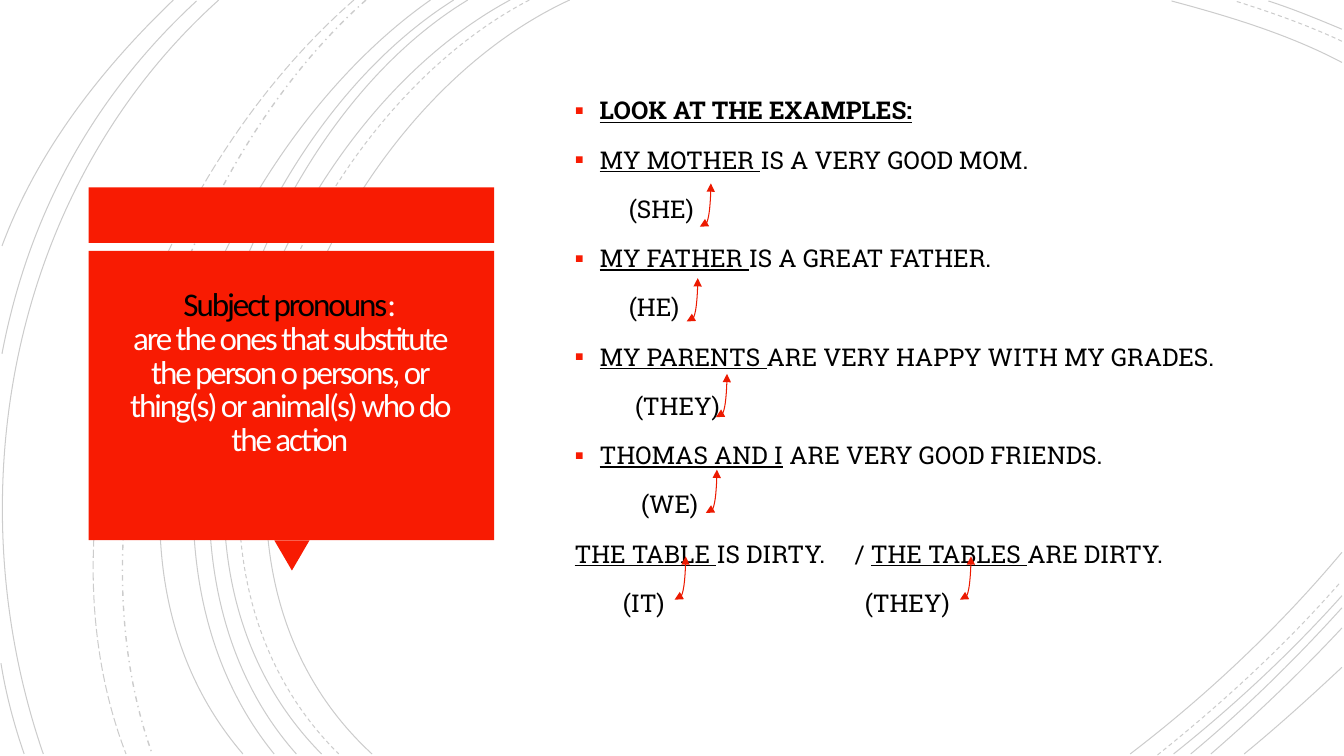
from pptx import Presentation
from pptx.dml.color import RGBColor
from pptx.enum.dml import MSO_LINE
from pptx.enum.shapes import MSO_CONNECTOR, MSO_SHAPE
from pptx.enum.text import MSO_ANCHOR, PP_ALIGN
from pptx.oxml.ns import qn
from pptx.util import Inches, Pt
from lxml.etree import SubElement

BLACK = RGBColor(0x00, 0x00, 0x00)
WHITE = RGBColor(0xFF, 0xFE, 0xFF)
RED = RGBColor(0xF8, 0x1B, 0x02)
ARROW = RGBColor(0xEC, 0x19, 0x00)

SOLID, DASH = MSO_LINE.SOLID, MSO_LINE.SQUARE_DOT
MIXED, LONG = MSO_LINE.DASH_DOT, MSO_LINE.LONG_DASH
DASH = MSO_LINE.DASH

ARCS = [
    (SOLID, (5.65, 0), (3.15, 1.15), (1.43, 5.4), (3.69, 7.48)),
    (SOLID, (13.31, 0.62), (12.78, 0.34), (12.18, 0.16), (11.62, 0.01)),
    (SOLID, (11.21, 7.48), (11.97, 6.9), (12.69, 6.22), (13.31, 5.48)),
    (DASH, (5.25, 0), (2.85, 1.25), (1.23, 5.37), (3.36, 7.48)),
    (DASH, (13.31, 0.41), (12.97, 0.25), (12.6, 0.12), (12.25, 0.01)),
    (DASH, (11.48, 7.49), (12.13, 6.97), (12.75, 6.4), (13.3, 5.77)),
    (SOLID, (5.06, 0), (2.7, 1.27), (1.1, 5.37), (3.19, 7.48)),
    (SOLID, (13.31, 0.29), (13.07, 0.19), (12.83, 0.09), (12.58, 0.01)),
    (SOLID, (11.64, 7.48), (12.23, 7.01), (12.8, 6.48), (13.31, 5.91)),
    (SOLID, (4.64, 0), (2.44, 1.33), (1.1, 5.41), (2.94, 7.48)),
    (SOLID, (11.81, 7.48), (12.34, 7.04), (12.84, 6.55), (13.31, 6.03)),
    (SOLID, (4.5, 0), (2.31, 1.38), (0.97, 5.33), (2.72, 7.48)),
    (SOLID, (12.01, 7.48), (12.46, 7.09), (12.9, 6.67), (13.31, 6.23)),
    (SOLID, (4.27, 0), (2.17, 1.47), (0.53, 5.29), (2.41, 7.48)),
    (SOLID, (12.34, 7.48), (12.67, 7.21), (12.99, 6.92), (13.31, 6.62)),
    (MIXED, (3.63, 0), (1.76, 1.66), (0.65, 5.09), (1.51, 7.48)),
    (LONG, (3.51, 0), (1.57, 1.69), (0.29, 4.99), (1.25, 7.48)),
    (SOLID, (2.17, 0), (0.11, 1.85), (-0.46, 4.9), (0.43, 7.48)),
    (SOLID, (1.95, 0.01), (0.92, 0.96), (0.28, 2.14), (0.02, 3.51)),
    (SOLID, (0.01, 6.58), (0.06, 6.89), (0.14, 7.19), (0.24, 7.48)),
    (SOLID, (1.72, 0), (1, 0.69), (0.37, 1.5), (0.02, 2.44)),
]

# text, underlined
EXAMPLES = [
    (True, [], [("LOOK AT THE EXAMPLES:", True)]),
    (True, [], [("MY MOTHER ", True), ("IS A VERY GOOD MOM.", False)]),
    (False, [0.54], [("\t(SHE)", False)]),
    (True, [], [("MY FATHER ", True), ("IS A GREAT FATHER.", False)]),
    (False, [0.54], [("\t(HE)", False)]),
    (True, [], [("MY PARENTS ", True), ("ARE VERY HAPPY WITH MY GRADES.", False)]),
    (False, [0.6], [("\t(THEY)", False)]),
    (True, [], [("THOMAS AND I", True), (" ARE VERY GOOD FRIENDS.", False)]),
    (False, [0.66], [("\t(WE)", False)]),
    (False, [2.78], [("THE TABLE ", True), ("IS DIRTY.\t/ ", False),
                     ("THE TABLES ", True), ("ARE DIRTY.", False)]),
    (False, [0.48, 2.88], [("\t(IT)\t(THEY)", False)]),
]

LINKS = [(1.34, 1.37), (1.21, 2.31), (1.5, 3.26), (1.4, 4.21), (1.09, 5.07), (3.92, 5.07)]


def add_arc(slide, dash, start, *rest):
    form = slide.shapes.build_freeform(Inches(start[0]), Inches(start[1]))
    form.add_line_segments([(Inches(x), Inches(y)) for x, y in rest], close=False)
    arc = form.convert_to_shape()
    arc.shadow.inherit = False
    arc.fill.background()
    arc.line.color.rgb = BLACK
    arc.line.width = Pt(1 if dash == MIXED else 0.75)
    arc.line.dash_style = dash
    tint = arc.line._ln.find(".//" + qn("a:srgbClr"))
    SubElement(tint, qn("a:alpha"), val="20000")
    track = arc._element.find(".//" + qn("a:path"))
    curve = SubElement(track, qn("a:cubicBezTo"))
    for step in track.findall(qn("a:lnTo")):
        curve.append(step[0])
        track.remove(step)


def add_block(slide, kind, left, top, width, height):
    block = slide.shapes.add_shape(
        kind, Inches(left), Inches(top), Inches(width), Inches(height))
    block.shadow.inherit = False
    block.fill.solid()
    block.fill.fore_color.rgb = RED
    block.line.fill.background()
    return block


def add_frame(slide, left, top, width, height):
    box = slide.shapes.add_textbox(
        Inches(left), Inches(top), Inches(width), Inches(height))
    frame = box.text_frame
    frame.word_wrap = True
    frame.vertical_anchor = MSO_ANCHOR.MIDDLE
    return frame


def add_run(para, text, face, size, color):
    run = para.add_run()
    run.text = text
    run.font.name = face
    run.font.size = Pt(size)
    run.font.color.rgb = color
    return run


def add_title(slide, left, top, width, height):
    add_block(slide, MSO_SHAPE.RECTANGLE, left, top, width, 0.55)
    tip = add_block(slide, MSO_SHAPE.ISOSCELES_TRIANGLE,
                    left + 1.84, top + height - 0.3, 0.35, 0.3)
    tip.rotation = 180
    add_block(slide, MSO_SHAPE.RECTANGLE, left, top + 0.63, width, height - 0.93)
    frame = add_frame(slide, left + 0.08, top - 0.56, 3.83, 4.82)
    frame.margin_left = frame.margin_right = Inches(0.25)
    frame.margin_top = frame.margin_bottom = Inches(0.25)
    para = frame.paragraphs[0]
    para.alignment = PP_ALIGN.CENTER
    para.line_spacing = 0.85
    rest = ("are the ones that substitute the person o persons, "
            "or thing(s) or animal(s) who do the action")
    for text, color in [("Subject pronouns", BLACK), (":", WHITE), (rest, WHITE)]:
        if text == rest:
            para.add_line_break()
        run = add_run(para, text, "Calibri", 23.6, color)
        run.font._element.set("spc", "-150")


def add_bullet(props):
    props.set("marL", str(Inches(0.25)))
    props.set("indent", str(-Inches(0.25)))
    tint = SubElement(props, qn("a:buClr"))
    SubElement(tint, qn("a:srgbClr"), val=str(RED))
    SubElement(props, qn("a:buSzPct"), val="110000")
    SubElement(props, qn("a:buFont"), typeface="Arial")
    SubElement(props, qn("a:buChar"), char="▪")


def add_stops(props, stops):
    tabs = SubElement(props, qn("a:tabLst"))
    for stop in stops:
        SubElement(tabs, qn("a:tab"), pos=str(Inches(stop)), algn="l")


def add_link(slide, left, top):
    link = slide.shapes.add_connector(
        MSO_CONNECTOR.CURVE, Inches(left + 0.27), Inches(top - 0.16),
        Inches(left - 0.16), Inches(top - 0.27))
    link.line.color.rgb = ARROW
    link.line.width = Pt(0.75)
    props = link._element.spPr
    props.find(qn("a:xfrm")).set("rot", "5400000")
    guides = props.find(".//" + qn("a:avLst"))
    SubElement(guides, qn("a:gd"), name="adj1", fmla="val 6000")
    for end in ("a:headEnd", "a:tailEnd"):
        SubElement(link.line._ln, qn(end), type="triangle")
    SubElement(props, qn("a:effectLst"))


def add_list(slide, left, top, width, height):
    frame = add_frame(slide, left, top, width, height)
    for row, (mark, stops, parts) in enumerate(EXAMPLES):
        para = frame.add_paragraph() if row else frame.paragraphs[0]
        para.line_spacing = 1.2
        para.space_before = Pt(10)
        props = para._p.get_or_add_pPr()
        if mark:
            add_bullet(props)
        if stops:
            add_stops(props, stops)
        for text, under in parts:
            run = add_run(para, text, "Roboto Slab", 17.5, BLACK)
            run.font.underline = under
            run.font.bold = row == 0
    for x, y in LINKS:
        add_link(slide, left + x, top + y)


def main():
    deck = Presentation()
    deck.slide_width, deck.slide_height = Inches(13.33), Inches(7.5)
    slide = deck.slides.add_slide(deck.slide_layouts[6])
    for arc in ARCS:
        add_arc(slide, *arc)
    add_title(slide, 0.88, 1.86, 4.02, 3.8)
    add_list(slide, 5.6, 0.88, 6.87, 5.25)
    deck.save("out.pptx")


if __name__ == "__main__":
    main()
